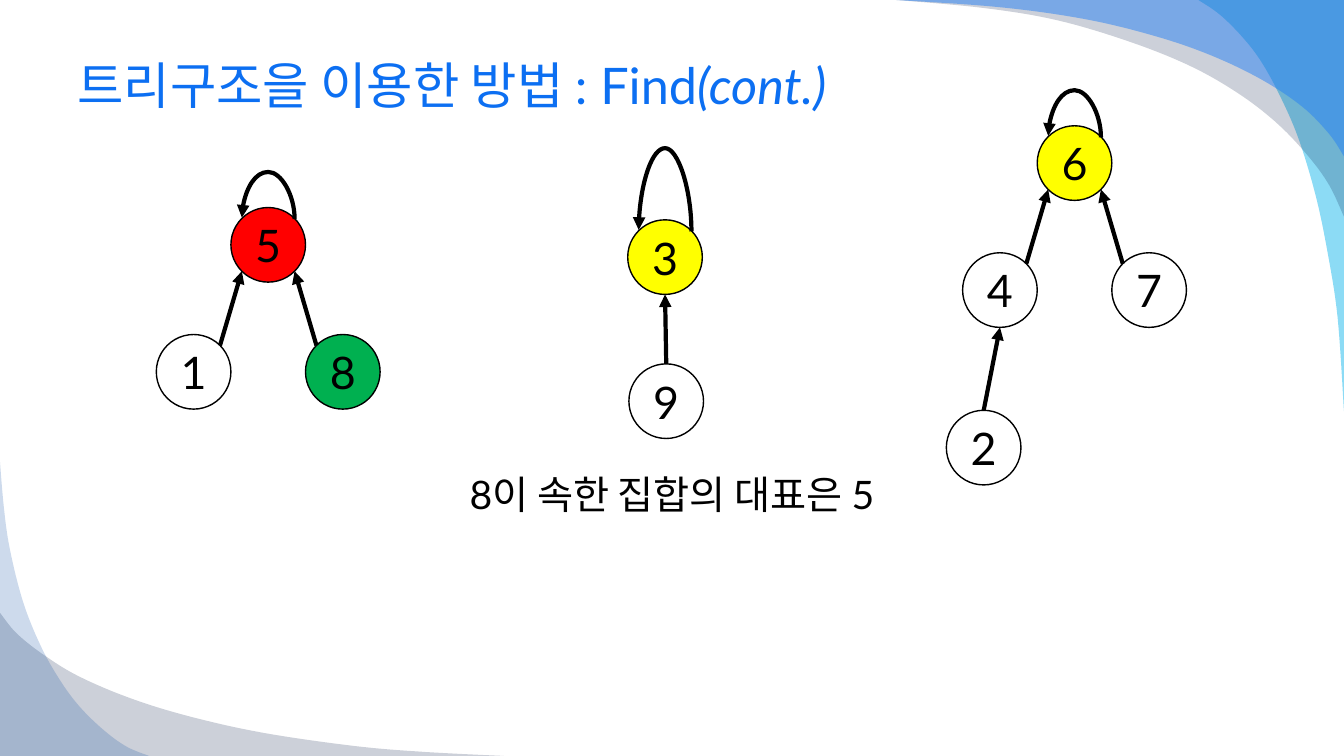
from math import sqrt

from lxml import etree
from pptx import Presentation
from pptx.dml.color import RGBColor
from pptx.enum import shapes, text
from pptx.oxml import ns
from pptx.util import Cm, Pt

COLORS = {
    "black": "000000", "white": "FFFFFF", "title": "0C6FF2",
    "red": "FF0000", "green": "00B050", "yellow": "FFFF00",
    "teal": "00B1E9", "navy": "021741", "sky": "247FF4", "blue": "084AA1",
}
FONT = "Lato"
WIDTH, HEIGHT = 33.87, 19.05
DIAMETER = 1.88
RADIUS = DIAMETER / 2
DIAGONAL = RADIUS / sqrt(2)
LOOP_DEPTH = 0.04
SITES = {
    "top": (0, -RADIUS), "bottom": (0, RADIUS),
    "top left": (-DIAGONAL, -DIAGONAL), "top right": (DIAGONAL, -DIAGONAL),
    "bottom left": (-DIAGONAL, DIAGONAL), "bottom right": (DIAGONAL, DIAGONAL),
}

SWOOSHES = [
    ("teal", 45, (WIDTH, 0), [
        (30.2, 0), (30.73, 0.36), (31.27, 0.89), (31.75, 1.5), (32.23, 2.36),
        (32.72, 3.48), (33.15, 4.9), (33.45, 6.32), (33.71, 8), (WIDTH, 10.36)]),
    ("navy", 20, (WIDTH, 0), [
        (WIDTH, 5.46), (33.5, 4.67), (32.99, 3.96), (32.23, 3.15), (31.29, 2.41),
        (30.07, 1.7), (28.52, 1.07), (26.64, 0.51), (24.77, 0.2), (22.58, 0)]),
    ("sky", 49, (WIDTH, 0), [
        (WIDTH, 3.94), (33.5, 3.38), (32.82, 2.69), (31.8, 2.01), (30.53, 1.4),
        (29.11, 0.91), (27.33, 0.48), (25.17, 0.18), (22.58, 0)]),
    ("navy", 20, (0, HEIGHT), [
        (0, 15.44), (0.41, 15.95), (1.07, 16.48), (1.98, 17.04), (3.3, 17.6),
        (4.8, 18.06), (6.65, 18.47), (8.94, 18.8), (10.72, 18.95), (12.7, HEIGHT)]),
    ("blue", 20, (0, HEIGHT), [
        (3.76, HEIGHT), (3.2, 18.82), (2.64, 18.42), (2.01, 17.81), (1.5, 17.12),
        (1.02, 16.26), (0.58, 15.16), (0.25, 13.84), (0.1, 12.8), (0, 11.63)]),
]

NODES = {
    5: (6.76, 6.17, "red"), 1: (4.88, 9.37, "white"), 8: (8.64, 9.37, "green"),
    6: (27.08, 4.11, "yellow"), 4: (25.2, 7.31, "white"), 7: (28.96, 7.31, "white"),
    2: (24.79, 11.28, "white"), 3: (16.76, 6.48, "yellow"), 9: (16.79, 10.11, "white"),
}
LINKS = [
    (1, "top right", 5, "bottom left"), (8, "top left", 5, "bottom right"),
    (4, "top right", 6, "bottom left"), (7, "top left", 6, "bottom right"),
    (2, "top", 4, "bottom"), (9, "top", 3, "bottom"),
]
LOOPS = {5: 1.19, 6: 1.19, 3: 2.1}


def rgb(color):
    return RGBColor.from_string(COLORS[color])


def set_font(font, size, color):
    font.name = FONT
    font.size = Pt(size)
    font.color.rgb = rgb(color)


def smooth_curve(knots, steps=8):
    padded = [knots[0], *knots, knots[-1]]
    curve = []
    for a, b, c, d in zip(padded, padded[1:], padded[2:], padded[3:]):
        for step in range(steps):
            t = step / steps
            curve.append(tuple(
                q + 0.5 * t * (r - p + t * (2 * p - 5 * q + 4 * r - s
                                            + t * (3 * (q - r) + s - p)))
                for p, q, r, s in zip(a, b, c, d)))
    return curve + [knots[-1]]


def add_swoosh(slide, color, opacity, corner, knots):
    outline = [(Cm(x), Cm(y)) for x, y in smooth_curve(knots)]
    builder = slide.shapes.build_freeform(Cm(corner[0]), Cm(corner[1]))
    builder.add_line_segments(outline, close=True)
    swoosh = builder.convert_to_shape()
    swoosh.shadow.inherit = False
    swoosh.fill.solid()
    swoosh.fill.fore_color.rgb = rgb(color)
    swoosh.line.fill.background()
    tint = swoosh._element.spPr.find(".//" + ns.qn("a:srgbClr"))
    etree.SubElement(tint, ns.qn("a:alpha"), val=str(opacity * 1000))


def add_heading(slide):
    heading = slide.shapes.add_textbox(Cm(1.7), Cm(0.84), Cm(30.48), Cm(2.57))
    frame = heading.text_frame
    frame.word_wrap = True
    frame.vertical_anchor = text.MSO_ANCHOR.MIDDLE
    line = frame.paragraphs[0]
    line.add_run().text = "트리구조을 이용한 방법 : Find"
    suffix = line.add_run()
    suffix.text = "(cont.)"
    suffix.font.italic = True
    set_font(line.font, 36, "title")


def add_caption(slide):
    caption = slide.shapes.add_textbox(0, Cm(11.73), Cm(WIDTH), Cm(1.45))
    frame = caption.text_frame
    frame.word_wrap = True
    frame.auto_size = text.MSO_AUTO_SIZE.SHAPE_TO_FIT_TEXT
    line = frame.paragraphs[0]
    line.text = "8이 속한 집합의 대표은 5"
    line.alignment = text.PP_ALIGN.CENTER
    set_font(line.font, 28, "black")


def add_node(slide, number, x, y, color):
    node = slide.shapes.add_shape(
        shapes.MSO_SHAPE.OVAL, Cm(x - RADIUS), Cm(y - RADIUS), Cm(DIAMETER), Cm(DIAMETER))
    node.shadow.inherit = False
    node.fill.solid()
    node.fill.fore_color.rgb = rgb(color)
    node.line.color.rgb = rgb("black")
    node.line.width = Pt(1)
    node.text_frame.vertical_anchor = text.MSO_ANCHOR.MIDDLE
    label = node.text_frame.paragraphs[0]
    label.text = str(number)
    label.alignment = text.PP_ALIGN.CENTER
    set_font(label.font, 32, "black")


def add_arrow(slide, kind, start, end):
    arrow = slide.shapes.add_connector(kind, *(Cm(v) for v in (*start, *end)))
    arrow.line.color.rgb = rgb("black")
    arrow.line.width = Pt(3)
    properties = arrow._element.spPr
    etree.SubElement(properties.find(ns.qn("a:ln")), ns.qn("a:tailEnd"), type="triangle")
    etree.SubElement(properties, ns.qn("a:effectLst"))
    return arrow


def site_point(number, site):
    x, y, _ = NODES[number]
    dx, dy = SITES[site]
    return x + dx, y + dy


def add_link(slide, child, child_site, parent, parent_site):
    add_arrow(slide, shapes.MSO_CONNECTOR.STRAIGHT,
              site_point(child, child_site), site_point(parent, parent_site))


def add_loop(slide, root, rise):
    x, y, _ = NODES[root]
    y -= DIAGONAL
    loop = add_arrow(slide, shapes.MSO_CONNECTOR.CURVE,
                     (x - LOOP_DEPTH / 2, y - DIAGONAL), (x + LOOP_DEPTH / 2, y + DIAGONAL))
    properties = loop._element.spPr
    frame = properties.find(ns.qn("a:xfrm"))
    frame.set("rot", str(270 * 60000))
    frame.set("flipV", "1")
    adjustments = properties.find(".//" + ns.qn("a:avLst"))
    bend = round(rise / LOOP_DEPTH * 100000)
    etree.SubElement(adjustments, ns.qn("a:gd"), name="adj1", fmla=f"val {bend}")


def main():
    deck = Presentation()
    deck.slide_width, deck.slide_height = Cm(WIDTH), Cm(HEIGHT)
    slide = deck.slides.add_slide(deck.slide_layouts[6])
    for swoosh in SWOOSHES:
        add_swoosh(slide, *swoosh)
    add_heading(slide)
    add_caption(slide)
    for number, node in NODES.items():
        add_node(slide, number, *node)
    for link in LINKS:
        add_link(slide, *link)
    for root, rise in LOOPS.items():
        add_loop(slide, root, rise)
    deck.save("out.pptx")


if __name__ == "__main__":
    main()
